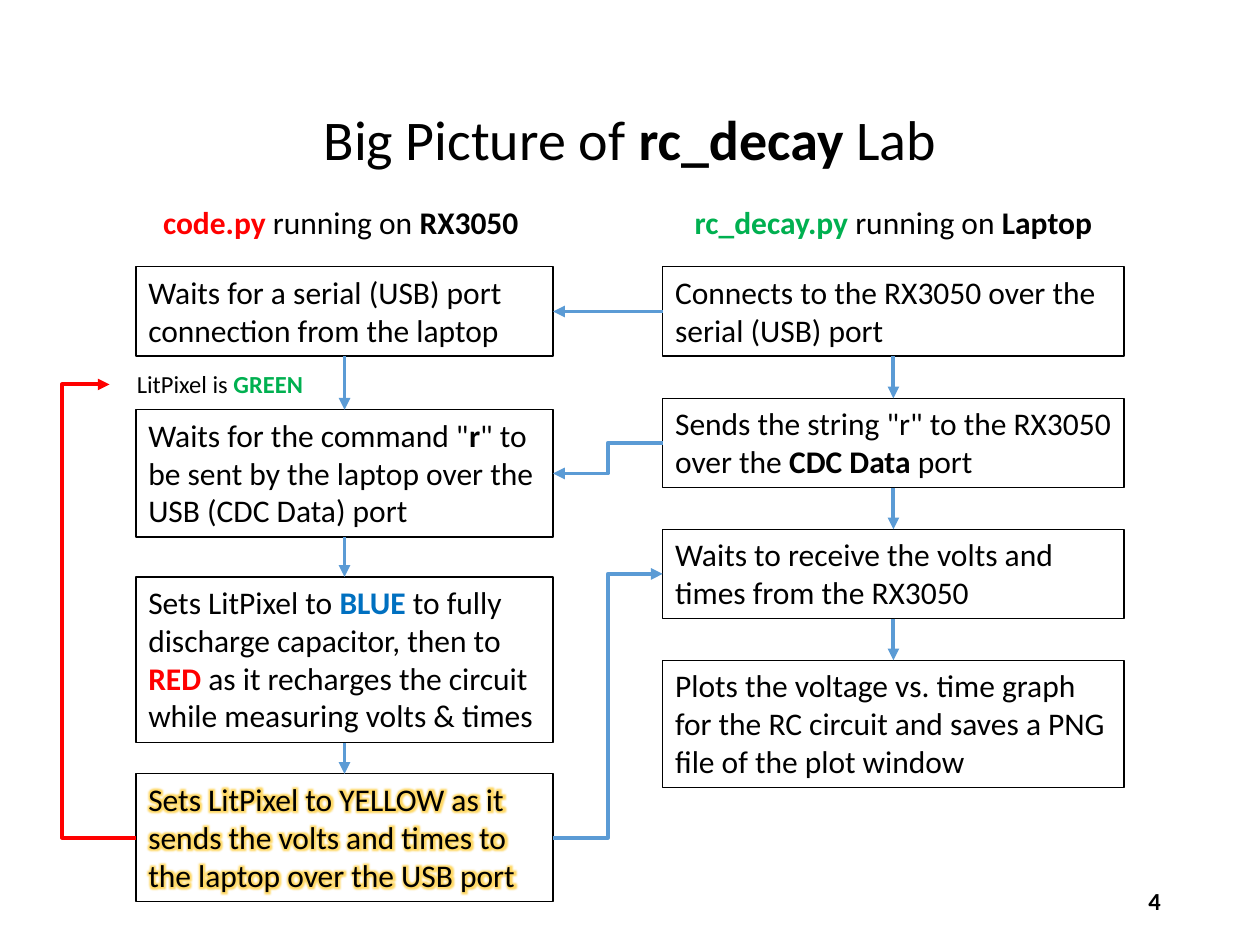
from lxml import etree
from pptx import Presentation
from pptx.dml.color import RGBColor
from pptx.enum.dml import MSO_LINE
from pptx.enum.shapes import MSO_CONNECTOR as Route
from pptx.enum.text import MSO_ANCHOR as Anchor, MSO_AUTO_SIZE as AutoSize, PP_ALIGN as Align
from pptx.oxml import parse_xml
from pptx.oxml.ns import nsdecls, qn
from pptx.util import Cm, Pt

BLACK, RED, GREEN, BLUE = "000000", "FF0000", "00B050", "0070C0"
ARROW, GLOW = "5B9BD5", "FFC000"
TOP, LEFT, BOTTOM, RIGHT = range(4)

TITLE = [("Big Picture of ",), ("rc_decay", BLACK), (" Lab",)]
BOARD_HEAD = [("code.py ", RED), ("running on ",), ("RX3050", BLACK)]
LAPTOP_HEAD = [("rc_decay.py ", GREEN), ("running on ",), ("Laptop", BLACK)]
STATUS = [("LitPixel is ",), ("GREEN", GREEN)]
BOARD_STEPS = [
    (5.38, 2, [("Waits for a serial (USB) port connection from the laptop",)]),
    (8.26, 3, [("Waits for the command \"",), ("r", BLACK),
               ("\" to be sent by the laptop over the USB (CDC Data) port",)]),
    (11.63, 4, [("Sets LitPixel to ",), ("BLUE", BLUE),
                (" to fully discharge capacitor, then to ",), ("RED", RED),
                (" as it recharges the circuit while measuring volts & times",)]),
    (15.6, 3, [("Sets LitPixel to YELLOW as it sends the volts and times "
                "to the laptop over the USB port",)]),
]
LAPTOP_STEPS = [
    (5.38, 2, [("Connects to the RX3050 over the serial (USB) port",)]),
    (8.03, 2, [("Sends the string \"r\" to the RX3050 over the ",),
               ("CDC Data", BLACK), (" port",)]),
    (10.67, 2, [("Waits to receive the volts and times from the RX3050",)]),
    (13.31, 3, [("Plots the voltage vs. time graph for the RC circuit "
                 "and saves a PNG file of the plot window",)]),
]
BOARD_X, BOARD_W = 2.74, 8.41
LAPTOP_X, LAPTOP_W = 13.36, 9.3
HEAD_Y, HEAD_H = 3.96, 1.02


def color(value):
    return RGBColor.from_string(value)


def write(frame, spans, size, align):
    para = frame.paragraphs[0]
    para.alignment = align
    for text, *accent in spans:
        span = para.add_run()
        span.text = text
        span.font.name = "Calibri"
        span.font.size = Pt(size)
        span.font.bold = bool(accent)
        span.font.color.rgb = color(accent[0] if accent else BLACK)
    return para


def add_text(page, x, y, width, height, spans, size=18, align=Align.CENTER):
    box = page.shapes.add_textbox(Cm(x), Cm(y), Cm(width), Cm(height))
    box.text_frame.word_wrap = True
    box.text_frame.auto_size = AutoSize.SHAPE_TO_FIT_TEXT
    write(box.text_frame, spans, size, align)
    return box


def add_steps(page, x, width, steps):
    boxes = []
    for y, lines, spans in steps:
        box = add_text(page, x, y, width, 0.26 + 0.77 * lines, spans, align=Align.LEFT)
        box.line.color.rgb = color(BLACK)
        box.line.width = Pt(0.75)
        boxes.append(box)
    return boxes


def add_arrow(page, start, start_side, end, end_side, route=Route.STRAIGHT, tint=ARROW):
    arrow = page.shapes.add_connector(route, 0, 0, 0, 0)
    arrow.begin_connect(start, start_side)
    arrow.end_connect(end, end_side)
    arrow.line.color.rgb = color(tint)
    arrow.line.width = Pt(2.25)
    arrow.line.dash_style = MSO_LINE.SOLID
    etree.SubElement(arrow.line._get_or_add_ln(), qn("a:tailEnd"), type="triangle")
    etree.SubElement(arrow._element.spPr, qn("a:effectLst"))
    return arrow


def add_glow(span):
    span.font._element.find(qn("a:solidFill")).addnext(parse_xml(
        f'<a:effectLst {nsdecls("a")}><a:glow rad="101600"><a:srgbClr val="{GLOW}">'
        '<a:alpha val="60000"/></a:srgbClr></a:glow></a:effectLst>'))


def add_outline(span, tint):
    span.font._element.insert(0, parse_xml(
        f'<a:ln {nsdecls("a")} w="9525"><a:solidFill><a:srgbClr val="{tint}"/>'
        '</a:solidFill></a:ln>'))


def bend_at(arrow, ratio):
    guides = arrow._element.spPr.find(qn("a:prstGeom")).get_or_add_avLst()
    etree.SubElement(guides, qn("a:gd"), name="adj1", fmla=f"val {round(ratio * 100000)}")


def main():
    deck = Presentation()
    deck.slide_width, deck.slide_height = Cm(25.4), Cm(19.05)
    page = deck.slides.add_slide(deck.slide_layouts[5])

    title = page.shapes.title
    title.left, title.top, title.width, title.height = Cm(1.75), Cm(1.02), Cm(21.9), Cm(3.68)
    title.text_frame.vertical_anchor = Anchor.MIDDLE
    write(title.text_frame, TITLE, 32, Align.CENTER).line_spacing = 0.9

    number = add_text(page, 17.93, 17.65, 5.72, 1.02, [("4", BLACK)], 14, Align.RIGHT)
    number.text_frame.auto_size = AutoSize.NONE
    number.text_frame.vertical_anchor = Anchor.MIDDLE

    board = add_steps(page, BOARD_X, BOARD_W, BOARD_STEPS)
    laptop = add_steps(page, LAPTOP_X, LAPTOP_W, LAPTOP_STEPS)
    add_glow(board[-1].text_frame.paragraphs[0].runs[0])

    add_text(page, BOARD_X, HEAD_Y, 8.26, HEAD_H, BOARD_HEAD)
    add_text(page, LAPTOP_X, HEAD_Y, LAPTOP_W, HEAD_H, LAPTOP_HEAD)
    status = add_text(page, 2.21, 7.32, 4.45, 0.86, STATUS, 14)
    add_outline(status.text_frame.paragraphs[0].runs[1], GREEN)

    for column in (board, laptop):
        for upper, lower in zip(column, column[1:]):
            add_arrow(page, upper, BOTTOM, lower, TOP)
    add_arrow(page, laptop[0], LEFT, board[0], RIGHT)
    add_arrow(page, laptop[1], LEFT, board[1], RIGHT, Route.ELBOW)
    add_arrow(page, board[3], RIGHT, laptop[2], LEFT, Route.ELBOW)
    loop = add_arrow(page, board[3], LEFT, status, LEFT, Route.ELBOW, RED)
    bend_at(loop, 2.81)

    deck.save("out.pptx")


if __name__ == "__main__":
    main()
